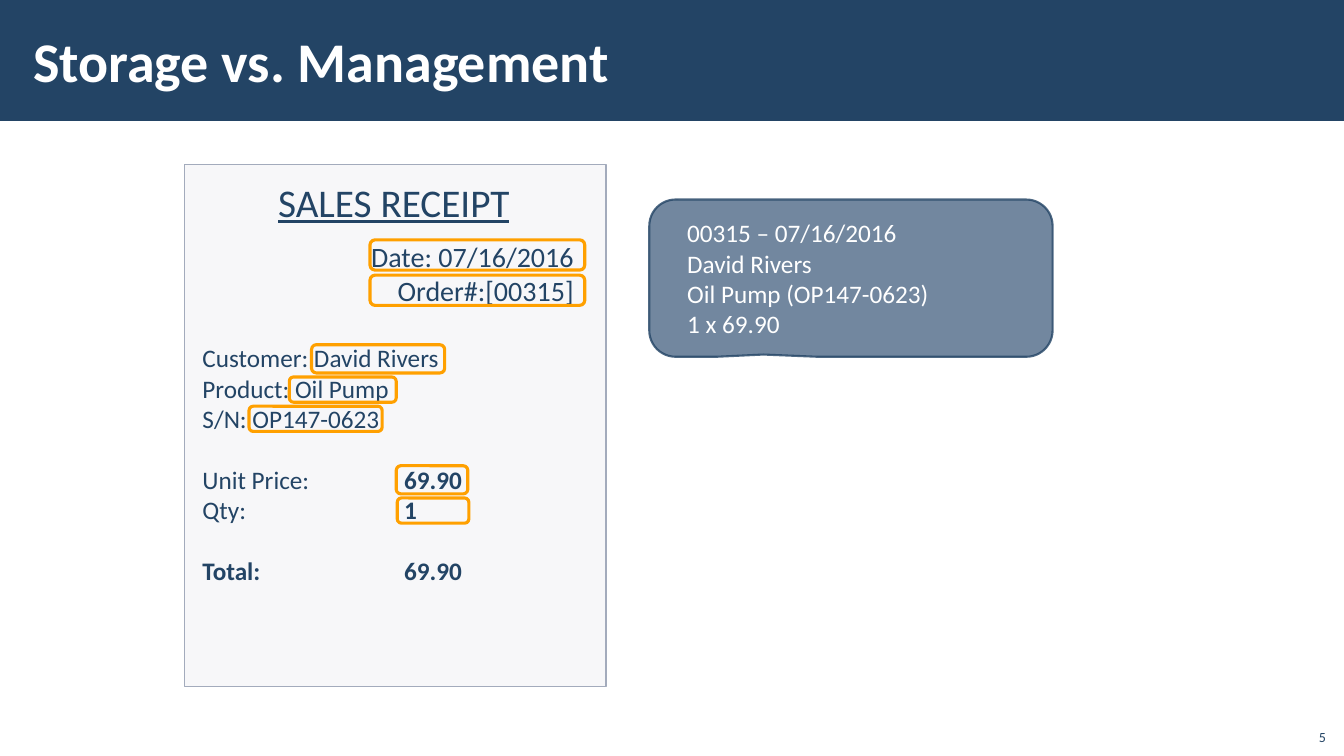
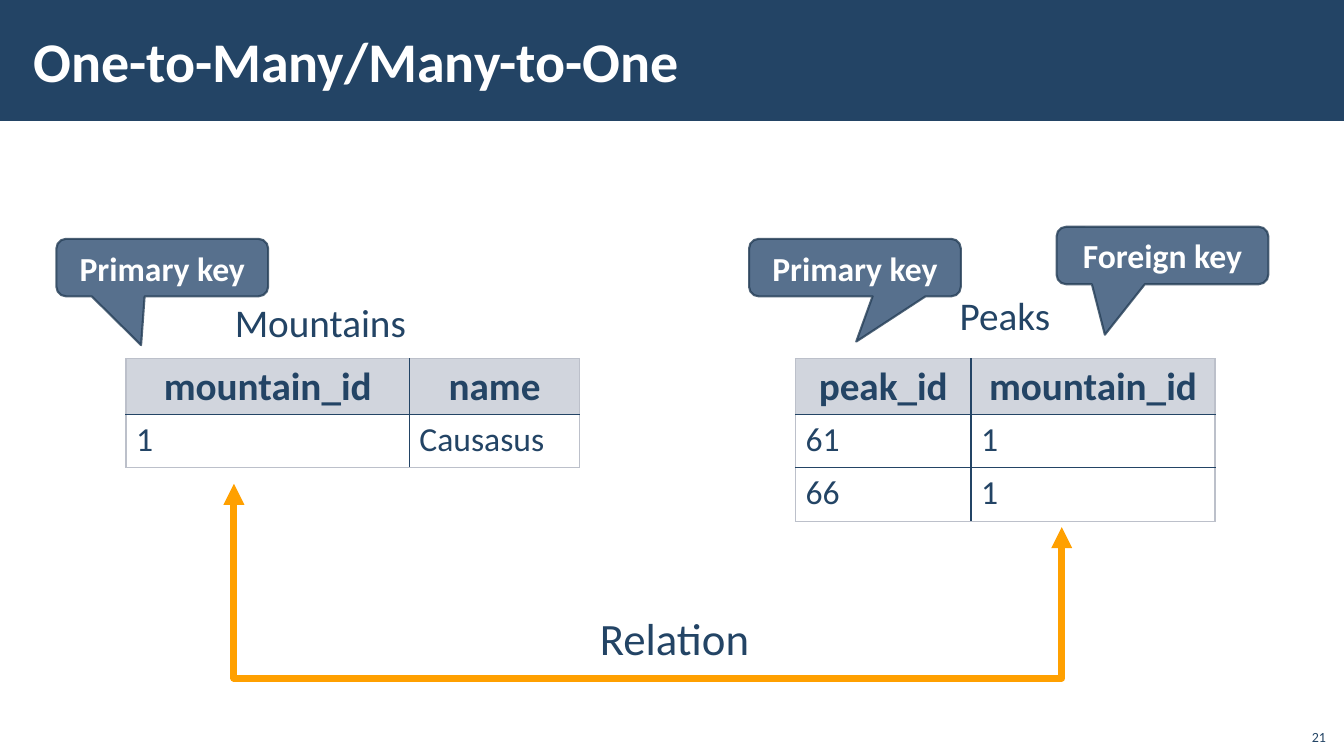
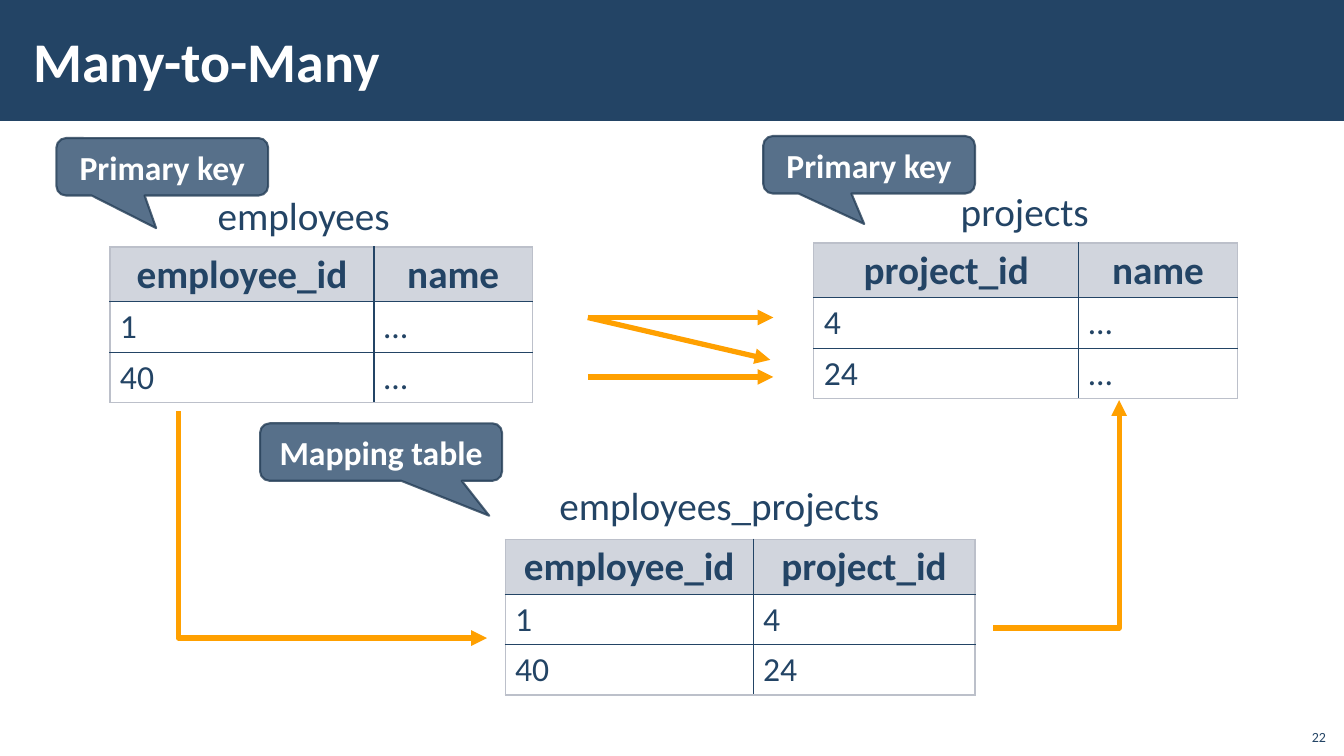
from dataclasses import dataclass
from typing import Any, NamedTuple

from lxml import etree
from pptx import Presentation
from pptx import util as u
from pptx.dml import color
from pptx.enum import shapes, text
from pptx.oxml import ns

COLORS = {
    "navy": "234465",
    "white": "FFFFFF",
    "orange": "FFA000",
    "receipt": "E9EBEF",
    "receipt_edge": "A3ABBC",
    "callout": "4F6987",
    "mapping_callout": "4F6984",
    "callout_edge": "253E57",
    "header": "D1D5DD",
    "table_edge": "BCC0CA",
}
FONT = "Calibri"
TITLE_ONLY = 5
CENTER, RIGHT, LEFT = text.PP_ALIGN.CENTER, text.PP_ALIGN.RIGHT, text.PP_ALIGN.LEFT
MIDDLE, BOTTOM = text.MSO_ANCHOR.MIDDLE, text.MSO_ANCHOR.BOTTOM
SHAPE = shapes.MSO_SHAPE


class Box(NamedTuple):
    left: float
    top: float
    width: float
    height: float


class Point(NamedTuple):
    x: float
    y: float


@dataclass
class Line:
    runs: list[tuple[str, bool]]
    gap: float = 0


@dataclass
class Style:
    size: float
    color: str = "navy"
    bold: bool = False
    underline: bool = False
    align: Any = LEFT


@dataclass
class Label:
    words: str
    box: Box


@dataclass
class Callout:
    words: str
    box: Box
    tip: Point
    fill: str = "callout"


@dataclass
class Arrow:
    start: Point
    end: Point
    width: float = 3.75
    preset: str = "line"
    turned: bool = False
    bend: int | None = None
    both_ends: bool = False


@dataclass
class Grid:
    corner: Point
    columns: list[float]
    rows: list[list[str]]
    header_height: float = 0.51
    row_height: float = 0.5


LABEL = Style(28)
TABLE_HEADER = Style(28, bold=True, align=CENTER)
TABLE_BODY = Style(24)
CALLOUT_TEXT = Style(24, "white", bold=True, align=CENTER)


def rgb(name: str) -> color.RGBColor:
    return color.RGBColor.from_string(COLORS[name])


def set_values(target: Any, values: dict[str, Any]) -> None:
    for name, value in values.items():
        setattr(target, name, value)


def inches(values: tuple[float, ...]) -> list[int]:
    return [u.Inches(value) for value in values]


def set_alpha(parent: Any, percent: int) -> None:
    if percent < 100:
        for fill_color in parent.xpath("a:solidFill/a:srgbClr"):
            etree.SubElement(fill_color, ns.qn("a:alpha"), val=str(percent * 1000))


def paint(shape: Any, fill: str | None, edge: str | None = None, width: float = 1,
          fill_alpha: int = 100, edge_alpha: int = 100) -> None:
    shape.shadow.inherit = False
    if fill:
        shape.fill.solid()
        shape.fill.fore_color.rgb = rgb(fill)
        set_alpha(shape._element.spPr, fill_alpha)
    else:
        shape.fill.background()
    if edge:
        shape.line.color.rgb = rgb(edge)
        shape.line.width = u.Pt(width)
        set_alpha(shape.line._get_or_add_ln(), edge_alpha)
    else:
        shape.line.fill.background()


def write(frame: Any, lines: list[Line], style: Style) -> None:
    for index, line in enumerate(lines):
        paragraph = frame.add_paragraph() if index else frame.paragraphs[0]
        set_values(paragraph, {"alignment": style.align, "space_before": u.Pt(line.gap)})
        for words, bold in line.runs:
            run = paragraph.add_run()
            run.text = words
            set_values(run.font, {"name": FONT, "size": u.Pt(style.size),
                                  "bold": bold or style.bold, "underline": style.underline})
            run.font.color.rgb = rgb(style.color)


def plain(*words: str) -> list[Line]:
    return [Line([(part, False)]) for part in words]


def set_margins(frame: Any, side: float, end: float) -> None:
    set_values(frame, {"margin_left": u.Inches(side), "margin_right": u.Inches(side),
                       "margin_top": u.Inches(end), "margin_bottom": u.Inches(end)})


def add_text(slide: Any, box: Box, lines: list[Line], style: Style,
             wrap: bool = True, anchor: Any = text.MSO_ANCHOR.TOP) -> Any:
    frame = slide.shapes.add_textbox(*inches(box)).text_frame
    set_values(frame, {"word_wrap": wrap, "vertical_anchor": anchor})
    write(frame, lines, style)
    return frame


def add_label(slide: Any, label: Label) -> None:
    add_text(slide, label.box, plain(label.words), LABEL, wrap=False)


def add_bubble(slide: Any, box: Box, tip: Point) -> Any:
    shape = slide.shapes.add_shape(SHAPE.ROUNDED_RECTANGULAR_CALLOUT, *inches(box))
    for index, value in enumerate((*tip, 0.167)):
        shape.adjustments[index] = value
    set_values(shape.text_frame, {"word_wrap": True, "vertical_anchor": MIDDLE})
    return shape


def add_callout(slide: Any, callout: Callout) -> None:
    shape = add_bubble(slide, callout.box, callout.tip)
    paint(shape, callout.fill, "callout_edge", 1.5, fill_alpha=95, edge_alpha=80)
    write(shape.text_frame, plain(callout.words), CALLOUT_TEXT)


def add_arrow(slide: Any, arrow: Arrow) -> None:
    kind = shapes.MSO_CONNECTOR.STRAIGHT if arrow.preset == "line" else shapes.MSO_CONNECTOR.ELBOW
    connector = slide.shapes.add_connector(kind, *inches(arrow.start), *inches(arrow.end))
    properties = connector._element.spPr
    geometry = properties.find(ns.qn("a:prstGeom"))
    geometry.set("prst", arrow.preset)
    if arrow.turned:
        width, height = connector.width, connector.height
        shift = (width - height) // 2
        set_values(connector, {"left": connector.left + shift, "top": connector.top - shift,
                               "width": height, "height": width})
        transform = properties.find(ns.qn("a:xfrm"))
        transform.set("rot", str(270 * 60000))
        transform.set("flipH", "1")
    if arrow.bend is not None:
        guides = geometry.find(ns.qn("a:avLst"))
        if guides is None:
            guides = etree.SubElement(geometry, ns.qn("a:avLst"))
        etree.SubElement(guides, ns.qn("a:gd"), name="adj1", fmla=f"val {arrow.bend}")
    connector.line.color.rgb = rgb("orange")
    connector.line.width = u.Pt(arrow.width)
    outline = connector.line._get_or_add_ln()
    for end in ("headEnd", "tailEnd") if arrow.both_ends else ("tailEnd",):
        etree.SubElement(outline, ns.qn(f"a:{end}"), type="triangle")
    etree.SubElement(properties, ns.qn("a:effectLst"))


def add_borders(cell: Any, outer_sides: dict[str, bool]) -> None:
    properties = cell._tc.get_or_add_tcPr()
    for index, (side, outer) in enumerate(outer_sides.items()):
        border = etree.Element(ns.qn(f"a:ln{side}"), w=str(u.Pt(1)))
        fill = etree.SubElement(border, ns.qn("a:solidFill"))
        value = COLORS["table_edge" if outer else "navy"]
        etree.SubElement(fill, ns.qn("a:srgbClr"), val=value)
        properties.insert(index, border)


def add_grid(slide: Any, grid: Grid) -> None:
    heights = [grid.header_height] + [grid.row_height] * (len(grid.rows) - 1)
    box = Box(*grid.corner, sum(grid.columns), sum(heights))
    table = slide.shapes.add_table(len(heights), len(grid.columns), *inches(box)).table
    set_values(table, {"first_row": False, "horz_banding": False})
    for column, width in zip(table.columns, grid.columns):
        column.width = u.Inches(width)
    for row, height in zip(table.rows, heights):
        row.height = u.Inches(height)
    for i, row_words in enumerate(grid.rows):
        for j, words in enumerate(row_words):
            cell = table.cell(i, j)
            write(cell.text_frame, plain(words), TABLE_BODY if i else TABLE_HEADER)
            if i:
                cell.fill.background()
            else:
                cell.fill.solid()
                cell.fill.fore_color.rgb = rgb("header")
                set_margins(cell, 0.17, 0.05)
                cell.text_frame.paragraphs[0].line_spacing = 0.95
            add_borders(cell, {"L": j == 0, "R": j == len(row_words) - 1,
                               "T": i == 0, "B": i == len(grid.rows) - 1})


def add_band(slide: Any) -> None:
    band = slide.shapes.add_shape(SHAPE.RECTANGLE, *inches((0, 0, 13.33, 1.2)))
    paint(band, "navy")
    slide.shapes.title._element.addprevious(band._element)


def add_titled_slide(presentation: Any, title: str, number: int) -> Any:
    slide = presentation.slides.add_slide(presentation.slide_layouts[TITLE_ONLY])
    add_band(slide)
    heading = slide.shapes.title
    box = Box(0.21, 0.11, 10.63, 0.97)
    set_values(heading, dict(zip(Box._fields, inches(box))))
    frame = heading.text_frame
    set_values(frame, {"word_wrap": True, "vertical_anchor": MIDDLE,
                       "auto_size": text.MSO_AUTO_SIZE.NONE})
    set_margins(frame, 0.12, 0.04)
    write(frame, plain(title), Style(40, "white", bold=True))
    add_text(slide, Box(12.85, 7.12, 0.4, 0.32), plain(str(number)),
             Style(10, align=RIGHT), anchor=BOTTOM)
    return slide


def add_diagram(slide: Any, items: list[Any]) -> None:
    painters = {Label: add_label, Callout: add_callout, Arrow: add_arrow, Grid: add_grid}
    for item in items:
        painters[type(item)](slide, item)


def build_receipt(presentation: Any) -> None:
    slide = add_titled_slide(presentation, "Storage vs. Management", 5)
    receipt = slide.shapes.add_shape(SHAPE.RECTANGLE, *inches((1.83, 1.63, 4.18, 5.18)))
    paint(receipt, "receipt", "receipt_edge", fill_alpha=36)
    add_text(slide, Box(2.66, 1.72, 2.52, 0.57), plain("SALES RECEIPT"),
             Style(28, underline=True), wrap=False)
    add_text(slide, Box(3.51, 2.33, 2.28, 1.11),
             plain("Date: 07/16/2016", "Order#:[00315]"), Style(20, align=RIGHT))
    details = plain("Customer: David Rivers", "Product: Oil Pump", "S/N: OP147-0623") + [
        Line([("Unit Price:\t", False), ("69.90", True)], gap=22),
        Line([("Qty:\t", False), ("1", True)]),
        Line([("Total:\t69.90", True)], gap=22),
    ]
    frame = add_text(slide, Box(1.91, 3.35, 4.02, 2.52), details, Style(18))
    for paragraph in frame.paragraphs[3:]:
        stops = etree.SubElement(paragraph._p.get_or_add_pPr(), ns.qn("a:tabLst"))
        etree.SubElement(stops, ns.qn("a:tab"), pos=str(u.Inches(2)), algn="l")

    record = add_bubble(slide, Box(6.44, 1.98, 4, 1.56), Point(-0.217, 0.486))
    paint(record, "callout", "navy", 1.5, fill_alpha=80, edge_alpha=80)
    set_margins(record.text_frame, 0.3, 0.1)
    write(record.text_frame, plain("00315 – 07/16/2016", "David Rivers",
                                   "Oil Pump (OP147-0623)", "1 x 69.90"), Style(18, "white"))
    highlights = [
        Box(3.67, 2.38, 2.13, 0.3),
        Box(3.67, 2.73, 2.13, 0.3),
        Box(3.09, 3.42, 1.32, 0.28),
        Box(2.87, 3.74, 1.06, 0.25),
        Box(2.47, 4.03, 1.32, 0.25),
        Box(3.93, 4.62, 0.71, 0.28),
        Box(3.94, 4.94, 0.71, 0.25),
    ]
    for box in highlights:
        highlight = slide.shapes.add_shape(SHAPE.ROUNDED_RECTANGLE, *inches(box))
        paint(highlight, None, "orange", 2.25)


def build_one_to_many(presentation: Any) -> None:
    slide = add_titled_slide(presentation, "One-to-Many/Many-to-One", 21)
    add_diagram(slide, [
        Label("Mountains", Box(2.23, 2.91, 1.92, 0.57)),
        Label("Peaks", Box(9.42, 2.84, 1.11, 0.57)),
        Callout("Primary key", Box(0.56, 2.37, 2.1, 0.57), Point(-0.1, 1.349)),
        Callout("Primary key", Box(7.43, 2.37, 2.1, 0.57), Point(0.006, 1.288)),
        Callout("Foreign key", Box(10.48, 2.25, 2.1, 0.57), Point(-0.272, 1.379)),
        Arrow(Point(2.32, 4.8), Point(10.53, 5.23), 5, "bentConnector3",
              turned=True, bend=448300, both_ends=True),
        Grid(Point(1.25, 3.56), [2.81, 1.69],
             [["mountain_id", "name"], ["1", "Causasus"]], 0.55, 0.53),
        Grid(Point(7.89, 3.56), [1.74, 2.42],
             [["peak_id", "mountain_id"], ["61", "1"], ["66", "1"]], 0.55, 0.53),
    ])
    add_text(slide, Box(5.69, 6.01, 2, 0.64), plain("Relation"), Style(32, align=CENTER))


def build_many_to_many(presentation: Any) -> None:
    slide = add_titled_slide(presentation, "Many-to-Many", 22)
    fill = "mapping_callout"
    add_diagram(slide, [
        Arrow(Point(5.83, 3.15), Point(7.67, 3.15)),
        Arrow(Point(5.83, 3.74), Point(7.67, 3.74)),
        Arrow(Point(5.83, 3.15), Point(7.64, 3.57)),
        Label("employees", Box(2.06, 1.85, 1.93, 0.57)),
        Label("projects", Box(9.43, 1.81, 1.49, 0.57)),
        Label("employees_projects", Box(5.45, 4.73, 3.41, 0.57)),
        Arrow(Point(1.77, 4.08), Point(4.83, 6.33), preset="bentConnector2", turned=True),
        Arrow(Point(9.85, 6.23), Point(11.1, 3.97), preset="bentConnector2"),
        Callout("Primary key", Box(0.56, 1.37, 2.1, 0.57), Point(-0.029, 1.067), fill),
        Callout("Primary key", Box(7.57, 1.35, 2.1, 0.57), Point(-0.023, 1.03), fill),
        Callout("Mapping table", Box(2.58, 4.2, 2.4, 0.57), Point(0.447, 1.108), fill),
        Grid(Point(1.09, 2.45), [2.62, 1.57],
             [["employee_id", "name"], ["1", "…"], ["40", "…"]]),
        Grid(Point(5.01, 5.35), [2.46, 2.2],
             [["employee_id", "project_id"], ["1", "4"], ["40", "24"]]),
        Grid(Point(8.07, 2.41), [2.63, 1.57],
             [["project_id", "name"], ["4", "…"], ["24", "…"]]),
    ])


def main() -> None:
    presentation = Presentation()
    set_values(presentation, {"slide_width": u.Inches(13.33), "slide_height": u.Inches(7.5)})
    for build in (build_receipt, build_one_to_many, build_many_to_many):
        build(presentation)
    presentation.save("out.pptx")


if __name__ == "__main__":
    main()
